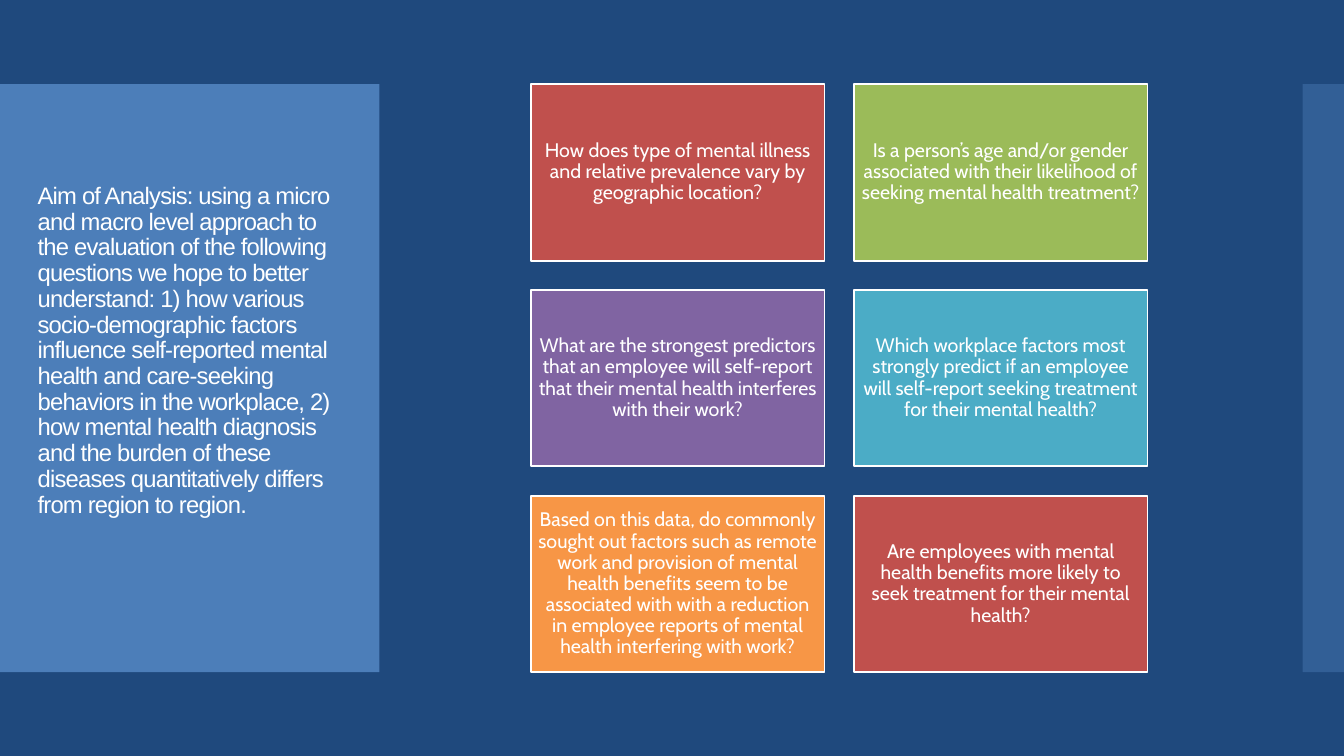
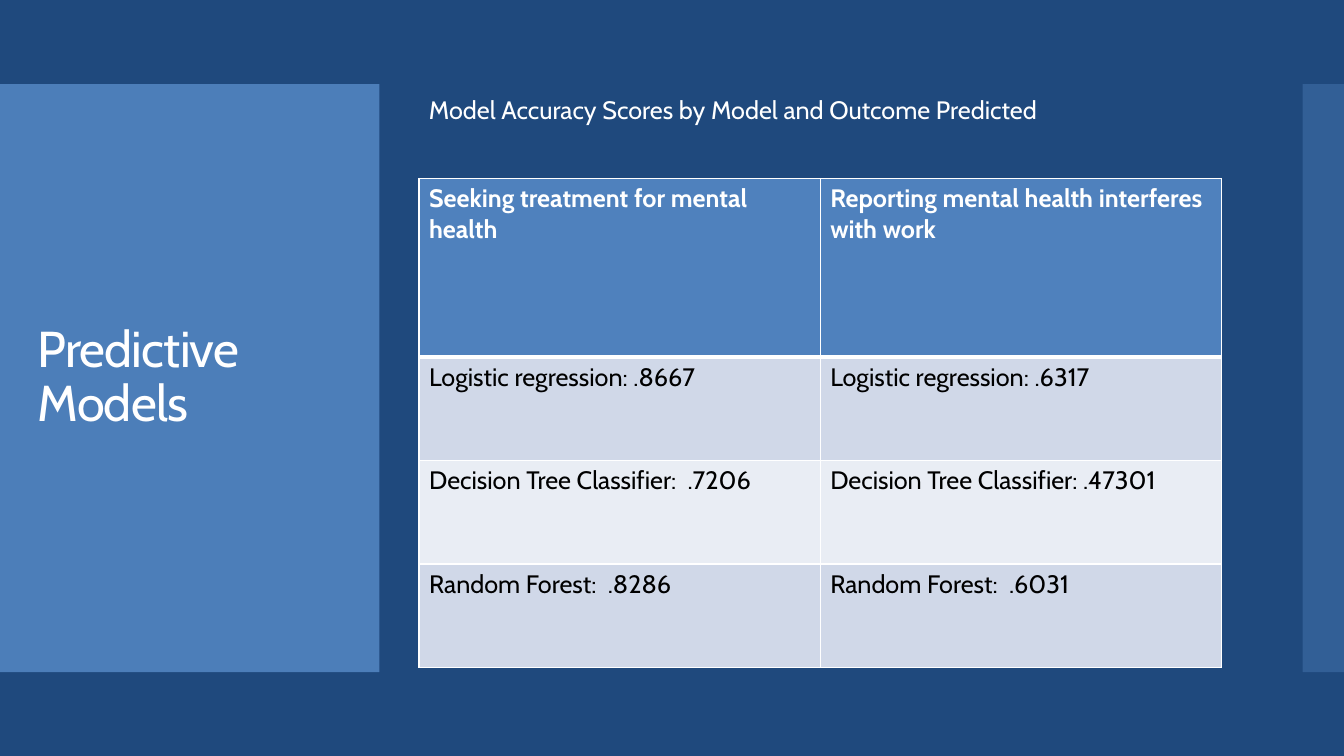
from itertools import product

from lxml.etree import SubElement
from pptx import Presentation
from pptx.dml.color import RGBColor
from pptx.enum.shapes import MSO_SHAPE as Shape
from pptx.enum.text import MSO_ANCHOR as Anchor, PP_ALIGN as Align
from pptx.oxml.ns import qn
from pptx.util import Cm, Pt

NAVY = RGBColor(0x1F, 0x49, 0x7D)
BLUE = RGBColor(0x4F, 0x81, 0xBD)
RED = RGBColor(0xC0, 0x50, 0x4D)
GREEN = RGBColor(0x9B, 0xBB, 0x59)
PURPLE = RGBColor(0x80, 0x64, 0xA2)
AQUA = RGBColor(0x4B, 0xAC, 0xC6)
ORANGE = RGBColor(0xF7, 0x96, 0x46)
ROW_DARK = RGBColor(0xD0, 0xD8, 0xE8)
ROW_LIGHT = RGBColor(0xE9, 0xED, 0xF4)
WHITE = RGBColor(0xFF, 0xFF, 0xFF)
BLACK = RGBColor(0, 0, 0)

BODY_FONT = "Cabin"
SLIDE_WIDTH, SLIDE_HEIGHT = Cm(33.87), Cm(19.05)
BAND_TOP, BAND_HEIGHT = Cm(2.12), Cm(14.82)
TITLE_BAND = (0, BAND_TOP, Cm(9.56), BAND_HEIGHT)
EDGE_BAND = (Cm(32.83), BAND_TOP, SLIDE_WIDTH - Cm(32.83), BAND_HEIGHT)

AIM = (
    "Aim of Analysis: using a micro and macro level approach to the evaluation "
    "of the following questions we hope to better understand: 1) how various "
    "socio-demographic factors influence self-reported mental health and "
    "care-seeking behaviors in the workplace, 2) how mental health diagnosis "
    "and the burden of these diseases quantitatively differs from region to region."
)
QUESTIONS = [
    (RED, "How does type of mental illness and relative prevalence vary by "
          "geographic location?"),
    (GREEN, "Is a person’s age and/or gender associated with their likelihood "
            "of seeking mental health treatment?"),
    (PURPLE, "What are the strongest predictors that an employee will "
             "self-report that their mental health interferes with their work?"),
    (AQUA, "Which workplace factors most strongly predict if an employee will "
           "self-report seeking treatment for their mental health?"),
    (ORANGE, "Based on this data, do commonly sought out factors such as remote "
             "work and provision of mental health benefits seem to be associated "
             "with with a reduction in employee reports of mental health "
             "interfering with work?"),
    (RED, "Are employees with mental health benefits more likely to seek "
          "treatment for their mental health?"),
]
SCORES = [
    ("Seeking treatment for mental health",
     "Reporting mental health interferes with work"),
    ("Logistic regression: .8667", "Logistic regression: .6317"),
    ("Decision Tree Classifier:  .7206", "Decision Tree Classifier: .47301"),
    ("Random Forest:  .8286", "Random Forest:  .6031"),
]


def write_text(frame, text, size=18, font=BODY_FONT, color=WHITE, bold=False,
               align=Align.LEFT, line_spacing=1.0, tracking=0):
    """Write one formatted paragraph; tracking is in points."""
    frame.word_wrap = True
    paragraph = frame.paragraphs[0]
    paragraph.alignment = align
    paragraph.line_spacing = line_spacing
    run = paragraph.add_run()
    run.text = text
    run.font.size = Pt(size)
    run.font.name = font
    run.font.bold = bold
    run.font.color.rgb = color
    if tracking:
        run.font._element.set("spc", str(round(tracking * 100)))


def add_rectangle(slide, box, color, opacity=100):
    shape = slide.shapes.add_shape(Shape.RECTANGLE, *box)
    shape.shadow.inherit = False
    shape.fill.solid()
    shape.fill.fore_color.rgb = color
    shape.line.fill.background()
    if opacity < 100:
        fill_color = shape._element.spPr.find(qn("a:solidFill"))[0]
        SubElement(fill_color, qn("a:alpha"), val=str(opacity * 1000))
    return shape


def add_base_slide(presentation):
    """Add a slide with the shared background and side bands."""
    slide = presentation.slides.add_slide(presentation.slide_layouts[6])
    slide.background.fill.solid()
    slide.background.fill.fore_color.rgb = NAVY
    add_rectangle(slide, TITLE_BAND, BLUE, opacity=95)
    add_rectangle(slide, EDGE_BAND, BLUE, opacity=40)
    return slide


def add_title(slide, band, text, size=36, font=BODY_FONT, raise_by=0):
    """Centre the title vertically in the band, or raise it above the centre."""
    left, top, width, height = band
    margin_x, margin_y = Cm(0.7), Cm(1)
    title = slide.shapes.add_textbox(left + margin_x, top + margin_y,
                                     width - 2 * margin_x, height - 2 * margin_y)
    frame = title.text_frame
    frame.vertical_anchor = Anchor.MIDDLE
    frame.margin_bottom += 2 * raise_by
    write_text(frame, text, size=size, font=font, line_spacing=0.9, tracking=-0.6)


def add_question_grid(slide, box, questions, columns=2):
    """Fill the box with cards separated by a tenth of their width."""
    left, top, width, height = box
    rows = len(questions) // columns
    card_width = int(width / (columns + 0.1 * (columns - 1)))
    gap = card_width // 10
    card_height = (height - gap * (rows - 1)) // rows
    for (row, column), (color, question) in zip(
            product(range(rows), range(columns)), questions):
        card = add_rectangle(slide, (left + column * (card_width + gap),
                                     top + row * (card_height + gap),
                                     card_width, card_height), color)
        card.line.color.rgb = WHITE
        card.line.width = Pt(1.35)
        frame = card.text_frame
        frame.vertical_anchor = Anchor.MIDDLE
        frame.margin_left = frame.margin_right = Cm(0.15)
        frame.margin_top = frame.margin_bottom = Cm(0.15)
        write_text(frame, question, size=14, align=Align.CENTER, line_spacing=0.9)


def set_cell_borders(cell, **widths):
    """Draw white borders; widths maps L, R, T and B to points."""
    properties = cell._tc.get_or_add_tcPr()
    for side, width in widths.items():
        line = SubElement(properties, qn(f"a:ln{side}"), w=str(Pt(width)))
        fill = SubElement(line, qn("a:solidFill"))
        SubElement(fill, qn("a:srgbClr"), val=str(WHITE))


def add_score_table(slide, box, scores, header_height):
    left, top, width, height = box
    table = slide.shapes.add_table(len(scores), len(scores[0]), *box).table
    table.horz_banding = False
    for column in table.columns:
        column.width = width // len(scores[0])
    body_height = (height - header_height) // (len(scores) - 1)
    for row_index, texts in enumerate(scores):
        is_header = row_index == 0
        table.rows[row_index].height = header_height if is_header else body_height
        row_color = BLUE if is_header else (ROW_LIGHT, ROW_DARK)[row_index % 2]
        for column_index, text in enumerate(texts):
            cell = table.cell(row_index, column_index)
            set_cell_borders(cell, L=1, R=1, T=3 if row_index == 1 else 1,
                             B=3 if is_header else 1)
            cell.fill.solid()
            cell.fill.fore_color.rgb = row_color
            write_text(cell.text_frame, text, bold=is_header,
                       color=WHITE if is_header else BLACK)


def add_score_panel(slide, box, caption, scores):
    """Place a caption with the score table below it."""
    left, top, width, height = box
    caption_box = slide.shapes.add_textbox(left, top, width, Cm(1))
    write_text(caption_box.text_frame, caption)
    table_offset = Cm(2.26)
    add_score_table(slide, (left, top + table_offset, width, height - table_offset),
                    scores, header_height=Cm(4.5))


def build_aim_slide(presentation):
    slide = add_base_slide(presentation)
    add_title(slide, TITLE_BAND, AIM, size=17, font="Arial", raise_by=Cm(0.68))
    add_question_grid(slide, (Cm(13.38), BAND_TOP, Cm(15.54), BAND_HEIGHT), QUESTIONS)


def build_models_slide(presentation):
    slide = add_base_slide(presentation)
    add_title(slide, TITLE_BAND, "Predictive Models")
    add_score_panel(slide, (Cm(10.56), Cm(2.24), Cm(20.22), Cm(14.58)),
                    "Model Accuracy Scores by Model and Outcome Predicted", SCORES)


def main():
    presentation = Presentation()
    presentation.slide_width = SLIDE_WIDTH
    presentation.slide_height = SLIDE_HEIGHT
    build_aim_slide(presentation)
    build_models_slide(presentation)
    presentation.save("out.pptx")


if __name__ == "__main__":
    main()
